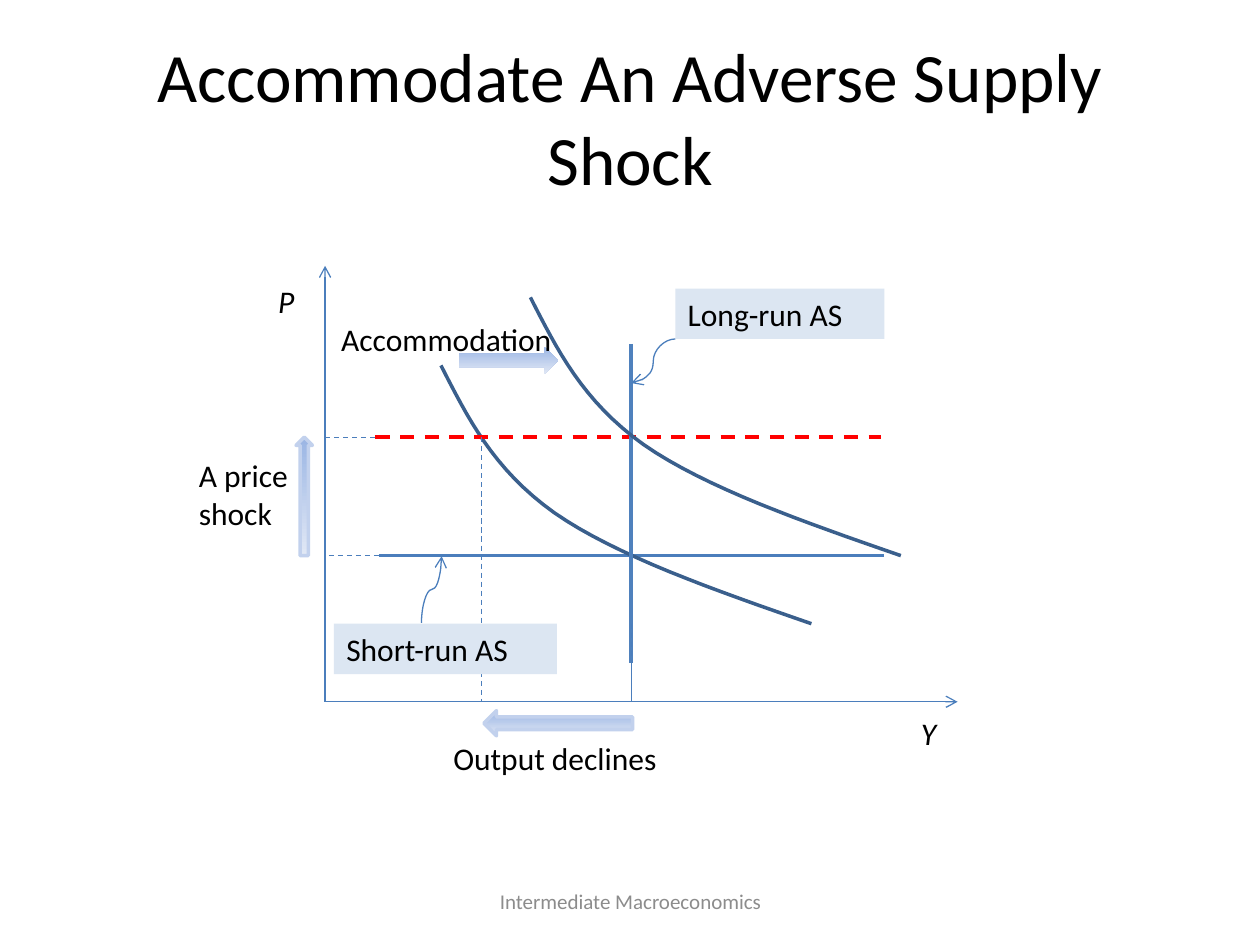
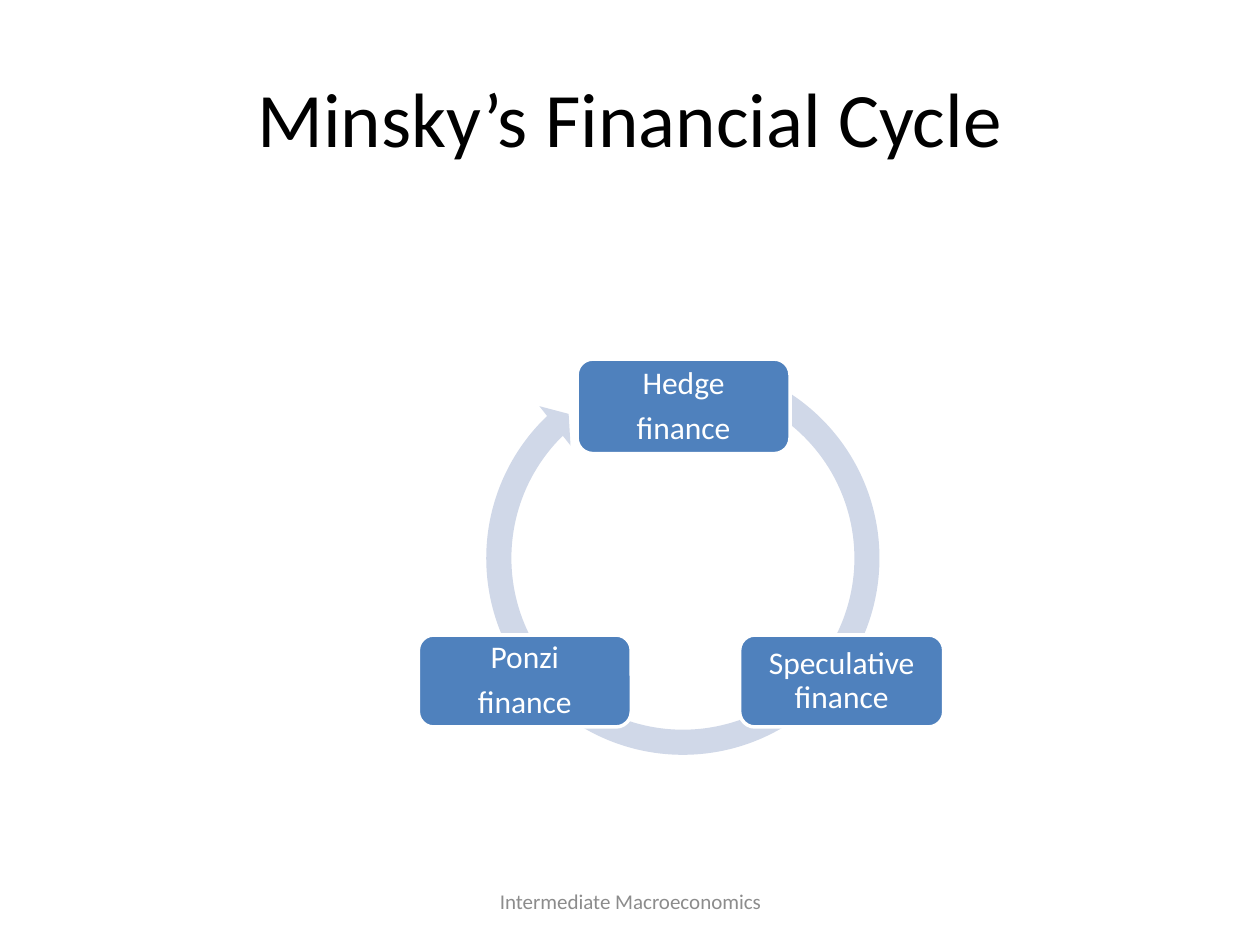
from dataclasses import dataclass

from lxml import etree
from pptx import Presentation
from pptx.dml.color import RGBColor
from pptx.enum.dml import MSO_LINE
from pptx.enum.shapes import MSO_CONNECTOR, MSO_SHAPE
from pptx.enum.text import MSO_ANCHOR, PP_ALIGN
from pptx.oxml.ns import qn
from pptx.util import Inches, Pt

LEFT, CENTER = PP_ALIGN.LEFT, PP_ALIGN.CENTER
TOP, MIDDLE = MSO_ANCHOR.TOP, MSO_ANCHOR.MIDDLE
STRAIGHT, CURVED = MSO_CONNECTOR.STRAIGHT, MSO_CONNECTOR.CURVE
DASH = MSO_LINE.DASH
RECTANGLE, ROUNDED = MSO_SHAPE.RECTANGLE, MSO_SHAPE.ROUNDED_RECTANGLE
UP_ARROW, LEFT_ARROW, RIGHT_ARROW = (
    MSO_SHAPE.UP_ARROW, MSO_SHAPE.LEFT_ARROW, MSO_SHAPE.RIGHT_ARROW)
CIRCULAR_ARROW = MSO_SHAPE.CIRCULAR_ARROW
TITLE_ONLY = 5


@dataclass(frozen=True)
class Theme:
    font: str = "Calibri"
    ink: str = "000000"
    paper: str = "FFFFFF"
    footer: str = "8C8C8C"
    axis: str = "4B7EBC"
    accent: str = "4F81BD"
    curve: str = "3A5F8C"
    shock: str = "FF0000"
    label_fill: str = "DCE6F2"
    arrow_dark: str = "9AB5E4"
    arrow_light: str = "E1E8F5"
    arrow_edge: str = "C2D1ED"
    ring: str = "D0D8E8"
    title_size: float = 44
    long_title_size: float = 39.6
    text_size: float = 18
    footer_size: float = 12
    thin: float = 0.75
    thick: float = 2


THEME = Theme()


def color(code):
    return RGBColor.from_string(code)


def write_text(frame, text, size=THEME.text_size, ink=THEME.ink, italic=False,
               align=LEFT, anchor=TOP, inset=None, line_spacing=None, space_after=None):
    """Fill a text frame, one paragraph for each line of text."""
    frame.word_wrap = True
    frame.vertical_anchor = anchor
    if inset is not None:
        frame.margin_left = frame.margin_right = Inches(inset)
        frame.margin_top = frame.margin_bottom = Inches(inset)
    for index, words in enumerate(text.split("\n")):
        para = frame.add_paragraph() if index else frame.paragraphs[0]
        para.alignment = align
        if line_spacing is not None:
            para.line_spacing = line_spacing
        if space_after is not None:
            para.space_after = Pt(space_after)
        span = para.add_run()
        span.text = words
        span.font.name = THEME.font
        span.font.size = Pt(size)
        span.font.italic = italic
        span.font.color.rgb = color(ink)


def bezier(start, first, second, end, steps=16):
    """Points along a cubic curve, without its start."""
    for step in range(1, steps + 1):
        t = step / steps
        weights = ((1 - t) ** 3, 3 * t * (1 - t) ** 2, 3 * t ** 2 * (1 - t), t ** 3)
        yield tuple(sum(weight * point[axis] for weight, point
                        in zip(weights, (start, first, second, end)))
                    for axis in (0, 1))


class Deck:
    def __init__(self, theme):
        self.theme = theme
        self.deck = Presentation()
        self.deck.slide_width, self.deck.slide_height = Inches(10), Inches(7.5)
        self.page = None

    def new_page(self, title, size):
        self.page = self.deck.slides.add_slide(self.deck.slide_layouts[TITLE_ONLY])
        box = self.page.shapes.title
        box.left, box.top, box.width, box.height = map(Inches, (0.5, 0.3, 9, 1.25))
        write_text(box.text_frame, title, size=size, align=CENTER, anchor=MIDDLE)
        self.text((3.42, 6.95, 3.17, 0.4), "Intermediate Macroeconomics",
                  size=self.theme.footer_size, ink=self.theme.footer,
                  align=CENTER, anchor=MIDDLE)

    def text(self, place, words, **style):
        box = self.page.shapes.add_textbox(*map(Inches, place))
        write_text(box.text_frame, words, **style)

    def shape(self, kind, place, fill=None, edge=None):
        shape = self.page.shapes.add_shape(kind, *map(Inches, place))
        shape.shadow.inherit = False
        if fill:
            shape.fill.solid()
            shape.fill.fore_color.rgb = color(fill)
        if edge:
            shape.line.color.rgb = color(edge)
            shape.line.width = Pt(self.theme.thick)
        else:
            shape.line.fill.background()
        return shape

    def label(self, place, words):
        box = self.shape(RECTANGLE, place, self.theme.label_fill)
        write_text(box.text_frame, words)

    def stage(self, place, words):
        box = self.shape(ROUNDED, place, self.theme.accent, self.theme.paper)
        write_text(box.text_frame, words, ink=self.theme.paper, align=CENTER,
                   anchor=MIDDLE, inset=0.07, line_spacing=0.9, space_after=6.3)

    def block_arrow(self, kind, place, edge=None):
        arrow = self.shape(kind, place, edge=edge)
        arrow.fill.gradient()
        arrow.fill.gradient_angle = 270
        shades = (self.theme.arrow_dark, self.theme.arrow_light)
        for stop, shade in zip(arrow.fill.gradient_stops, shades):
            stop.color.rgb = color(shade)

    def line(self, start, end, ink=THEME.axis, width=THEME.thin, dash=None,
             arrow=False, kind=STRAIGHT, turn=0):
        line = self.page.shapes.add_connector(kind, *map(Inches, (*start, *end)))
        line.line.color.rgb = color(ink)
        line.line.width = Pt(width)
        if dash:
            line.line.dash_style = dash
        properties = line.element.spPr
        if arrow:
            etree.SubElement(properties.find(qn("a:ln")), qn("a:tailEnd"), type="arrow")
        if turn:
            properties.find(qn("a:xfrm")).set("rot", str(turn * 60000))
        etree.SubElement(properties, qn("a:effectLst"))

    def curve(self, origin, offsets):
        """A smooth open outline; offsets hold three points for each cubic part."""
        nodes = [(origin[0] + x, origin[1] + y) for x, y in ((0, 0), *offsets)]
        points = [point for first in range(0, len(nodes) - 1, 3)
                  for point in bezier(*nodes[first:first + 4])]
        builder = self.page.shapes.build_freeform(*map(Inches, origin))
        builder.add_line_segments([tuple(map(Inches, point)) for point in points],
                                  close=False)
        outline = builder.convert_to_shape()
        outline.shadow.inherit = False
        outline.fill.background()
        outline.line.color.rgb = color(self.theme.curve)
        outline.line.width = Pt(self.theme.thick)


def supply_shock_page(deck):
    theme = deck.theme
    deck.new_page("Accommodate An Adverse Supply Shock", theme.long_title_size)
    axis_x, axis_y = 2.58, 5.57
    old_price, new_price = 4.41, 3.47
    low_output, full_output = 3.82, 5.01
    demand = ((0.21, 0.41), (0.41, 0.82), (0.9, 1.17),
              (1.39, 1.51), (2.16, 1.78), (2.94, 2.05))

    # Axes
    for end in ((7.6, axis_y), (axis_x, 2.11)):
        deck.line((axis_x, axis_y), end, arrow=True)
    deck.text((2.11, 2.19, 0.47, 0.4), "P", italic=True)
    deck.text((7.21, 5.62, 0.47, 0.4), "Y", italic=True)

    # Price levels and first demand curve
    deck.line((3.01, old_price), (7.02, old_price), width=theme.thick)
    deck.line((2.61, old_price), (3.01, old_price), dash=DASH)
    deck.curve((3.5, 2.9), demand)
    deck.line((2.98, new_price), (6.99, new_price), theme.shock, theme.thick, DASH)
    deck.line((axis_x, new_price), (2.98, new_price), dash=DASH)

    # Price rise and fall in output
    deck.block_arrow(UP_ARROW, (2.35, new_price, 0.13, 0.94), theme.arrow_edge)
    deck.line((low_output, new_price), (low_output, axis_y), dash=DASH)
    deck.line((full_output, old_price), (full_output, axis_y), dash=DASH)
    deck.block_arrow(LEFT_ARROW, (3.84, 5.64, 1.18, 0.2), theme.arrow_edge)
    deck.text((1.48, 3.57, 1.1, 0.71), "A price shock")
    deck.text((3.5, 5.82, 2.06, 0.4), "Output declines")

    # Supply lines with their labels
    deck.line((full_output, 2.73), (full_output, 5.26), theme.accent, theme.thick)
    deck.line((full_output, 4.95), (full_output, 5.58), dash=DASH)
    deck.label((5.36, 2.29, 1.66, 0.4), "Long-run AS")
    deck.line((5.36, 2.69), (full_output, 3.04), arrow=True, kind=CURVED)
    deck.label((2.65, 4.95, 1.77, 0.4), "Short-run AS")
    deck.line((3.69, 4.76), (3.16, 4.6), arrow=True, kind=CURVED, turn=90)

    # Accommodation shifts demand
    deck.curve((4.21, 2.36), demand)
    deck.block_arrow(RIGHT_ARROW, (3.64, 2.75, 0.79, 0.22))
    deck.text((2.61, 2.49, 2.06, 0.4), "Accommodation")


def financial_cycle_page(deck):
    deck.new_page("Minsky’s Financial Cycle", deck.theme.title_size)

    # Ring behind the stages
    ring = deck.shape(CIRCULAR_ARROW, (3.76, 2.77, 3.32, 3.32), deck.theme.ring)
    for index, value in enumerate((0.06, 3.4, 135.58, 175.14, 0.06)):
        ring.adjustments[index] = value

    # Stages
    deck.stage((4.58, 2.85, 1.69, 0.75), "Hedge\nfinance")
    deck.stage((5.87, 5.04, 1.62, 0.73), "Speculative finance")
    deck.stage((3.32, 5.04, 1.69, 0.73), "Ponzi\nfinance")


def main():
    deck = Deck(THEME)
    supply_shock_page(deck)
    financial_cycle_page(deck)
    deck.deck.save("out.pptx")


if __name__ == "__main__":
    main()
